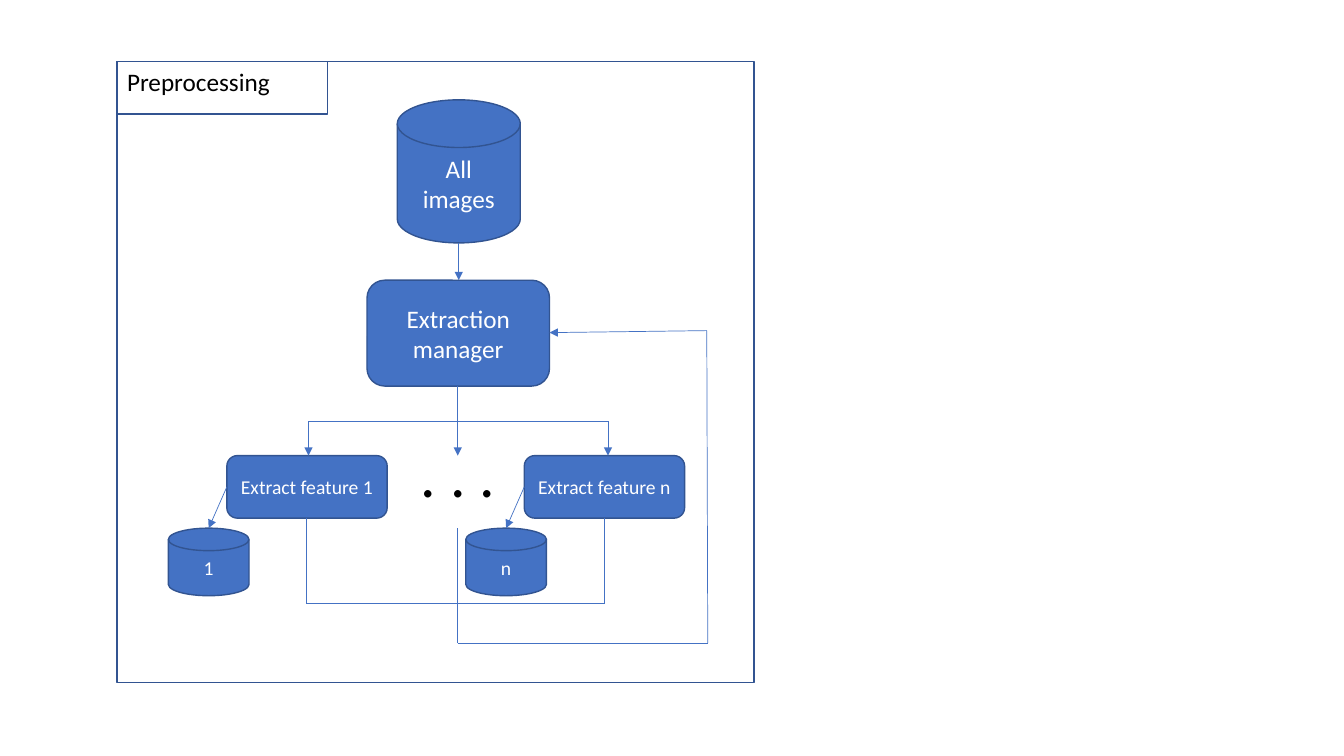
from collections import namedtuple

from lxml.etree import SubElement
from pptx import Presentation
from pptx.dml.color import RGBColor
from pptx.enum.shapes import MSO_CONNECTOR, MSO_SHAPE
from pptx.enum.text import MSO_ANCHOR, MSO_AUTO_SIZE, PP_ALIGN
from pptx.oxml.ns import qn
from pptx.util import Inches, Pt

COLORS = {"fill": "4472C4", "border": "325491", "line": "4472C4",
          "light": "FFFFFF", "dark": "000000"}
FONT = "Calibri"
Box = namedtuple("Box", "left top width height")


def color(name):
    return RGBColor.from_string(COLORS[name])


def inside(box, left, top, width, height):
    return Box(box.left + left, box.top + top, width, height)


def write(shape, text, size=18, ink="light", align=PP_ALIGN.CENTER,
          anchor=MSO_ANCHOR.MIDDLE, wrap=True):
    frame = shape.text_frame
    frame.word_wrap = wrap
    frame.auto_size = MSO_AUTO_SIZE.NONE
    frame.vertical_anchor = anchor
    para = frame.paragraphs[0]
    para.alignment = align
    span = para.add_run()
    span.text = text
    span.font.name = FONT
    span.font.size = Pt(size)
    span.font.color.rgb = color(ink)


def outline(shape):
    shape.line.color.rgb = color("border")
    shape.line.width = Pt(1)


def add_node(page, kind, box, text="", size=18, filled=True):
    node = page.shapes.add_shape(kind, *map(Inches, box))
    node.shadow.inherit = False
    outline(node)
    if filled:
        node.fill.solid()
        node.fill.fore_color.rgb = color("fill")
    else:
        node.fill.background()
    if text:
        write(node, text, size=size)


def add_path(page, box, points, arrow=False):
    for start, end in zip(points, points[1:]):
        line = page.shapes.add_connector(
            MSO_CONNECTOR.STRAIGHT,
            Inches(box.left + start[0]), Inches(box.top + start[1]),
            Inches(box.left + end[0]), Inches(box.top + end[1]))
        line.line.color.rgb = color("line")
        line.line.width = Pt(0.5)
        properties = line._element.spPr
        SubElement(properties, qn("a:effectLst"))
        if arrow and end == points[-1]:
            SubElement(properties.find(qn("a:ln")), qn("a:tailEnd"), type="triangle")


def add_frame(page, box):
    add_node(page, MSO_SHAPE.RECTANGLE, box, filled=False)
    title = page.shapes.title
    title.left, title.top, title.width, title.height = map(
        Inches, inside(box, 0, 0, 2.09, 0.52))
    outline(title)
    write(title, "Preprocessing", ink="dark", align=PP_ALIGN.LEFT,
          anchor=MSO_ANCHOR.TOP, wrap=False)


def add_source(page, box):
    add_node(page, MSO_SHAPE.FLOWCHART_MAGNETIC_DISK,
             inside(box, 2.78, 0.38, 1.22, 1.42), "All images")
    add_path(page, box, [(3.39, 1.8), (3.39, 2.17)], arrow=True)
    add_node(page, MSO_SHAPE.ROUNDED_RECTANGLE,
             inside(box, 2.48, 2.17, 1.81, 1.05), "Extraction manager")


def add_feature(page, box, label):
    add_node(page, MSO_SHAPE.ROUNDED_RECTANGLE, box, f"Extract feature {label}", 14)
    add_node(page, MSO_SHAPE.FLOWCHART_MAGNETIC_DISK,
             inside(box, -0.58, 0.72, 0.8, 0.67), label, 14)
    add_path(page, box, [(0, box.height / 2), (-0.18, 0.72)], arrow=True)


def add_extractors(page, box):
    for left, label in ((1.09, "1"), (4.04, "n")):
        add_feature(page, inside(box, left, 3.91, 1.59, 0.62), label)
    dots = page.shapes.add_textbox(*map(Inches, inside(box, 2.7, 3.67, 1.37, 1.07)))
    write(dots, ". . .", size=44, ink="dark", anchor=MSO_ANCHOR.TOP)


def add_routes(page, box):
    center, split, merge = 3.38, 3.57, 5.38
    add_path(page, box, [(center, 3.22), (center, split)])
    for branch in (1.9, center, 4.87):
        bend = [(center, split)] if branch != center else []
        add_path(page, box, bend + [(branch, split), (branch, 3.91)], arrow=True)
    for branch in (1.88, 4.83):
        add_path(page, box, [(branch, 4.53), (branch, merge), (center, merge)])
    add_path(page, box, [(center, 4.63), (center, 5.77), (5.86, 5.77),
                         (5.85, 2.67), (4.29, 2.69)], arrow=True)


def add_preprocessing(page, box):
    add_frame(page, box)
    add_source(page, box)
    add_extractors(page, box)
    add_routes(page, box)


def main():
    deck = Presentation()
    deck.slide_width = Inches(13.33)
    deck.slide_height = Inches(7.5)
    page = deck.slides.add_slide(deck.slide_layouts.get_by_name("Title Only"))
    add_preprocessing(page, Box(1.16, 0.61, 6.32, 6.16))
    deck.save("out.pptx")


if __name__ == "__main__":
    main()
